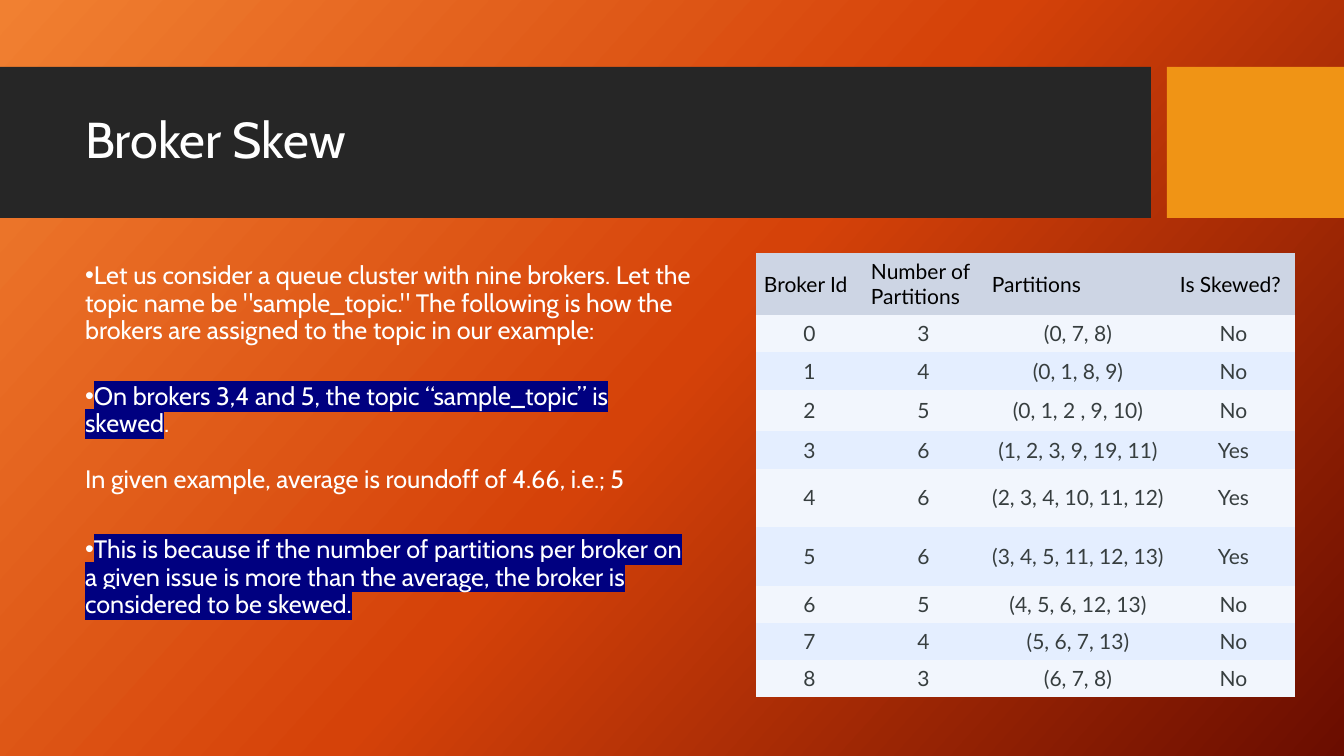
"""Builds the Broker Skew slide with its notes and its partition table."""
from copy import deepcopy

from lxml.etree import SubElement
from pptx import Presentation
from pptx.dml.color import RGBColor
from pptx.enum.shapes import MSO_SHAPE
from pptx.enum.text import MSO_ANCHOR, MSO_AUTO_SIZE, PP_ALIGN
from pptx.oxml.ns import qn
from pptx.util import Inches, Pt

SCALE = Inches(1) / 100.8
COLORS = {
    "glow": "F18031", "flame": "D54209", "ember": "6A0D00",
    "band": "262626", "accent": "F09415", "white": "FFFFFF", "mark": "000080",
    "header": "CDD5E4", "odd": "F2F6FD", "even": "E4EEFF",
    "black": "000000", "ink": "373E3F",
}
BULLET_INDENT = -25
NOTES = [
    (True, 28, [('Let us consider a queue cluster with nine brokers. Let the topic name be '
                 '"sample_topic." The following is how the brokers are assigned to the '
                 'topic in our example:', False)]),
    (True, 20, [("On brokers 3,4 and 5, the topic “sample_topic” is skewed", True),
                (".", False)]),
    (False, 31, [("In given example, average is roundoff of 4.66, i.e.; 5", False)]),
    (True, 6, [("This is because if the number of partitions per broker on a given issue "
                "is more than the average, the broker is considered to be skewed.", True)]),
]
HEADINGS = ["Broker Id", "Number of Partitions", "Partitions", "Is Skewed?"]
BROKERS = [
    (3, "(0, 7, 8)", "No"),
    (4, "(0, 1, 8, 9)", "No"),
    (5, "(0, 1, 2 , 9, 10)", "No"),
    (6, "(1, 2, 3, 9, 19, 11)", "Yes"),
    (6, "(2, 3, 4, 10, 11, 12)", "Yes"),
    (6, "(3, 4, 5, 11, 12, 13)", "Yes"),
    (5, "(4, 5, 6, 12, 13)", "No"),
    (4, "(5, 6, 7, 13)", "No"),
    (3, "(6, 7, 8)", "No"),
]
COLUMN_WIDTHS = [107, 121, 188, 123]
ROW_HEIGHTS = [62, 37, 38, 41, 38, 58, 59, 37, 37, 37]


def px(length):
    return round(length * SCALE)


def color(name):
    return RGBColor.from_string(COLORS[name])


def apply(target, **values):
    for name, value in values.items():
        setattr(target, name, value)


def place(shape, left, top, width, height):
    apply(shape, left=px(left), top=px(top), width=px(width), height=px(height))


def paint_background(page):
    fill = page.background.fill
    fill.gradient()
    fill.gradient_angle = 318
    stop_list = page.element.find(".//" + qn("a:gsLst"))
    stop_list.append(deepcopy(stop_list[-1]))
    names = ["glow", "flame", "ember"]
    for stop, name, position in zip(fill.gradient_stops, names, [0, 0.5, 1]):
        stop.position = position
        stop.color.rgb = color(name)


def add_band(page, left, width, fill_name):
    band = page.shapes.add_shape(MSO_SHAPE.RECTANGLE, px(left), px(67), px(width), px(151))
    band.shadow.inherit = False
    band.fill.solid()
    band.fill.fore_color.rgb = color(fill_name)
    band.line.fill.background()
    band.element.getparent().insert(2, band.element)


def add_span(para, text, size, font_name, color_name, marked=False):
    span = para.add_run()
    span.text = text
    apply(span.font, size=Pt(size), name=font_name)
    span.font.color.rgb = color(color_name)
    if marked:
        solid = span.font.fill._xPr.find(qn("a:solidFill"))
        highlight = SubElement(solid.getparent(), qn("a:highlight"))
        SubElement(highlight, qn("a:srgbClr")).set("val", COLORS["mark"])
        solid.addnext(highlight)


def set_bullet(para, bulleted):
    properties = para._p.get_or_add_pPr()
    properties.set("marL", "0")
    properties.set("indent", str(px(BULLET_INDENT) if bulleted else 0))
    if bulleted:
        SubElement(properties, qn("a:buChar")).set("char", "•")
    else:
        SubElement(properties, qn("a:buNone"))


def fill_title(title):
    place(title, 75, 83, 1059, 119)
    apply(title.text_frame, vertical_anchor=MSO_ANCHOR.MIDDLE,
          auto_size=MSO_AUTO_SIZE.NONE, word_wrap=True)
    para = title.text_frame.paragraphs[0]
    apply(para, alignment=PP_ALIGN.LEFT, line_spacing=0.9)
    add_span(para, "Broker Skew", 36, "Cabin", "white")


def fill_notes(body):
    place(body, 75, 258, 632, 397)
    frame = body.text_frame
    apply(frame, vertical_anchor=MSO_ANCHOR.TOP, auto_size=MSO_AUTO_SIZE.NONE, word_wrap=True)
    for index, (bulleted, gap, spans) in enumerate(NOTES):
        para = frame.add_paragraph() if index else frame.paragraphs[0]
        apply(para, alignment=PP_ALIGN.LEFT, line_spacing=0.9,
              space_before=Pt(0), space_after=Pt(gap))
        set_bullet(para, bulleted)
        for text, marked in spans:
            add_span(para, text, 18, "Cabin", "white", marked)


def fill_cell(cell, text, fill_name, color_name, alignment):
    apply(cell, vertical_anchor=MSO_ANCHOR.MIDDLE, margin_left=px(8), margin_right=px(8),
          margin_top=px(4), margin_bottom=px(4))
    cell.fill.solid()
    cell.fill.fore_color.rgb = color(fill_name)
    para = cell.text_frame.paragraphs[0]
    para.alignment = alignment
    add_span(para, text, 15, "Lato", color_name)


def add_broker_table(page):
    rows = [HEADINGS] + [[str(broker), str(count), partitions, skewed]
                         for broker, (count, partitions, skewed) in enumerate(BROKERS)]
    frame = page.shapes.add_table(len(rows), len(HEADINGS), px(756), px(253),
                                  px(sum(COLUMN_WIDTHS)), px(sum(ROW_HEIGHTS)))
    table = frame.table
    apply(table, first_row=False, horz_banding=False)
    style = frame.element.find(".//" + qn("a:tableStyleId"))
    style.text = "{2D5ABB26-0587-4C30-8999-92F81FD0307C}"
    for column, width in zip(table.columns, COLUMN_WIDTHS):
        column.width = px(width)
    for index, (row, height, texts) in enumerate(zip(table.rows, ROW_HEIGHTS, rows)):
        row.height = px(height)
        look = ("odd" if index % 2 else "even", "ink", PP_ALIGN.CENTER)
        if index == 0:
            look = ("header", "black", PP_ALIGN.LEFT)
        for cell, text in zip(row.cells, texts):
            fill_cell(cell, text, *look)


def main():
    deck = Presentation()
    apply(deck, slide_width=px(1344), slide_height=px(756))
    page = deck.slides.add_slide(deck.slide_layouts[1])
    paint_background(page)
    add_band(page, 1167, 177, "accent")
    add_band(page, 0, 1151, "band")
    fill_title(page.shapes.title)
    fill_notes(page.placeholders[1])
    add_broker_table(page)
    deck.save("out.pptx")


if __name__ == "__main__":
    main()
